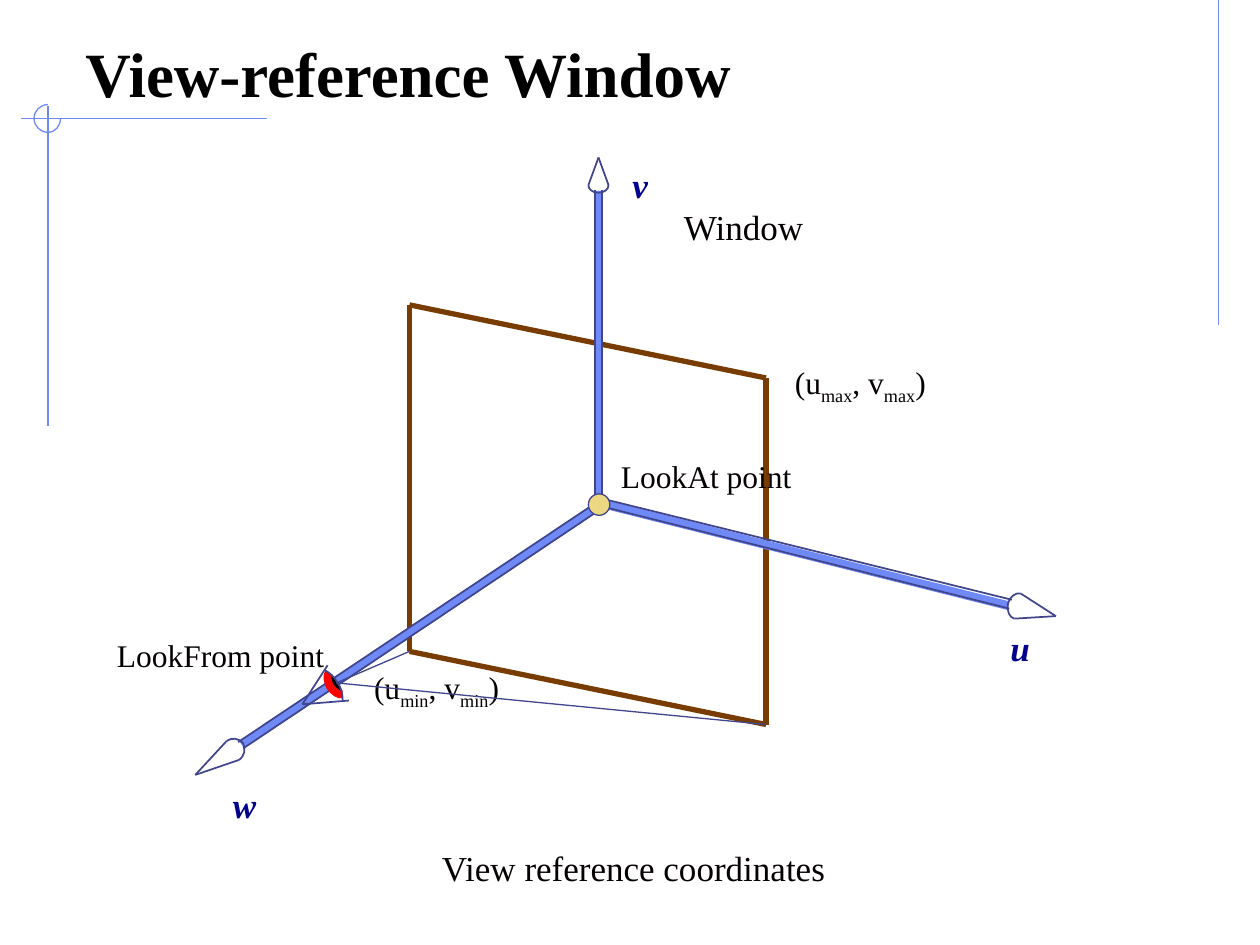
from lxml import etree
from pptx import Presentation
from pptx.dml.color import RGBColor
from pptx.enum.shapes import MSO_CONNECTOR as CONN, MSO_SHAPE as SHAPE
from pptx.enum.text import MSO_ANCHOR as ANCHOR, MSO_AUTO_SIZE as AUTO
from pptx.oxml.ns import qn
from pptx.util import Inches, Pt

PERIWINKLE, NAVY, BROWN = "6F89F7", "40458C", "783C00"
INK, BLACK, RED, SAND = "050000", "000000", "FF0000", "ECD882"
AXIS_NAME = {"size": Pt(20), "bold": True, "italic": True}


def rgb(value):
    return RGBColor.from_string(value)


def paint(s, fill=None, line=None, width=1):
    s.shadow.inherit = False
    if fill:
        s.fill.solid()
        s.fill.fore_color.rgb = rgb(fill)
    else:
        s.fill.background()
    if line:
        s.line.color.rgb = rgb(line)
        s.line.width = Pt(width)
    else:
        s.line.fill.background()


def add_line(shapes, start, end, color=NAVY, width=1):
    s = shapes.add_connector(CONN.STRAIGHT, *map(Inches, start + end))
    s.line.color.rgb = rgb(color)
    s.line.width = Pt(width)
    etree.SubElement(s._element.spPr, qn("a:effectLst"))


def add_preset(shapes, kind, box, rotation=0, **style):
    s = shapes.add_shape(kind, *map(Inches, box))
    s.rotation = rotation
    paint(s, **style)


def add_curve(shapes, points, close=False, **style):
    """Draw a chain of Bezier segments: a start, then three points for each."""
    emu = [(Inches(x), Inches(y)) for x, y in points]
    builder = shapes.build_freeform(*emu[0])
    builder.add_line_segments(emu[1:], close=close)
    s = builder.convert_to_shape()
    # Turn every three line segments into one Bezier segment
    lines = list(s._element.iter(qn("a:lnTo")))
    for i in range(0, len(lines), 3):
        bezier = etree.Element(qn("a:cubicBezTo"))
        lines[i].addprevious(bezier)
        for segment in lines[i:i + 3]:
            bezier.append(segment[0])
            segment.getparent().remove(segment)
    paint(s, **style)


def add_text(shapes, box, runs, anchor=ANCHOR.TOP, wrap=False, color=INK, **font):
    """Every second run is a subscript."""
    tf = shapes.add_textbox(*map(Inches, box)).text_frame
    tf.word_wrap = wrap
    tf.auto_size = AUTO.NONE if wrap else AUTO.SHAPE_TO_FIT_TEXT
    tf.vertical_anchor = anchor
    p = tf.paragraphs[0]
    for i, text in enumerate(runs):
        r = p.add_run()
        r.text = text
        for name, value in {"name": "Times New Roman", **font}.items():
            setattr(r.font, name, value)
        r.font.color.rgb = rgb(color)
        if i % 2:
            r._r.get_or_add_rPr().set("baseline", "-25000")


def add_axis(shapes, bar, rotation, arc, tip, rails):
    """A shaft with two edges and a cone-shaped head."""
    g = shapes.add_group_shape().shapes
    add_preset(g, SHAPE.RECTANGLE, bar, rotation, fill=PERIWINKLE)
    add_curve(g, arc, line=NAVY)
    for corner in (arc[0], arc[-1]):
        add_line(g, corner, tip)
    for start, end in rails:
        add_line(g, start, end)


def add_decoration(shapes):
    add_line(shapes, (9.67, 0), (9.67, 2.58), PERIWINKLE, 0.75)
    g = shapes.add_group_shape().shapes
    add_line(g, (2.12, 0.94), (0.17, 0.94), PERIWINKLE, 0.75)
    add_line(g, (0.38, 0.84), (0.38, 3.38), PERIWINKLE, 0.75)
    add_curve(g, [(0.38, 0.83), (0.32, 0.83), (0.27, 0.88), (0.27, 0.94),
                  (0.27, 1), (0.32, 1.05), (0.38, 1.05),
                  (0.44, 1.05), (0.48, 1), (0.48, 0.94)],
              line=PERIWINKLE, width=0.75)


def add_window(shapes):
    g = shapes.add_group_shape().shapes
    top_left, top_right = (3.25, 2.42), (6.08, 3)
    low_left, low_right = (3.25, 5.17), (6.08, 5.75)
    for start, end in ((top_left, low_left), (top_right, low_right),
                       (top_left, top_right), (low_left, low_right)):
        add_line(g, start, end, BROWN, 3)
    for x, y, w, sub in ((2.87, 5.25, 1.25, "min"), (6.21, 2.83, 1.3, "max")):
        add_text(g, (x, y, w, 0.44), ["(u", sub, ", v", sub, ")"], size=Pt(18))


def add_axes(shapes):
    # w axis
    add_axis(shapes, (1.63, 4.93, 3.4, 0.07), 146.2,
             [(1.9, 6.03), (1.94, 6), (1.95, 5.95), (1.93, 5.9),
              (1.9, 5.86), (1.84, 5.85), (1.8, 5.88)], (1.55, 6.15),
             [((4.77, 4.04), (1.93, 5.94)), ((4.73, 3.99), (1.89, 5.89))])
    # u axis
    add_axis(shapes, (4.67, 4.36, 3.38, 0.07), 14.1,
             [(8.1, 4.71), (8.06, 4.7), (8.01, 4.74), (8, 4.79),
              (7.99, 4.85), (8.01, 4.9), (8.05, 4.91)], (8.38, 4.89),
             [((4.75, 3.95), (8.03, 4.76)), ((4.74, 4.01), (8.01, 4.83))])
    # v axis
    add_axis(shapes, (3.52, 2.72, 2.47, 0.06), 270,
             [(4.67, 1.47), (4.67, 1.5), (4.7, 1.53), (4.75, 1.53),
              (4.8, 1.53), (4.83, 1.5), (4.83, 1.47)], (4.75, 1.25),
             [((x, 4), (x, 1.51)) for x in (4.72, 4.78)])


def add_eye(shapes):
    g = shapes.add_group_shape().shapes
    # Pupil and iris
    add_curve(g, [(2.62, 5.36), (2.63, 5.36), (2.66, 5.39), (2.67, 5.41),
                  (2.68, 5.43), (2.71, 5.47), (2.71, 5.48),
                  (2.71, 5.49), (2.68, 5.48), (2.67, 5.47),
                  (2.66, 5.46), (2.65, 5.45), (2.64, 5.44),
                  (2.63, 5.42), (2.62, 5.39), (2.62, 5.38),
                  (2.62, 5.36), (2.62, 5.36), (2.62, 5.36)], close=True, fill=BLACK)
    add_curve(g, [(2.72, 5.51), (2.69, 5.52), (2.65, 5.49), (2.62, 5.45),
                  (2.6, 5.41), (2.59, 5.36), (2.61, 5.34)],
              fill=BLACK, line=RED, width=4.5)
    # Eyelids and eyeball
    for end in ((2.6, 5.28), (2.77, 5.56)):
        add_line(g, (2.4, 5.59), end)
    add_curve(g, [(2.58, 5.32), (2.62, 5.34), (2.66, 5.38), (2.68, 5.42),
                  (2.71, 5.46), (2.72, 5.51), (2.72, 5.56)], line=NAVY)


def main():
    prs = Presentation()
    prs.slide_width, prs.slide_height = Inches(10), Inches(7.5)
    shapes = prs.slides.add_slide(prs.slide_layouts[6]).shapes

    add_decoration(shapes)
    add_window(shapes)
    add_text(shapes, (0.58, 0.25, 8.83, 0.67), ["View-reference Window"],
             ANCHOR.BOTTOM, True, BLACK, size=Pt(36), bold=True)
    add_axes(shapes)
    add_preset(shapes, SHAPE.OVAL, (4.72, 3.98, 0.06, 0.06), fill=PERIWINKLE)

    # Axis names and captions
    for name, x, y, w in (("u", 7.92, 4.92, 0.35), ("v", 4.92, 1.25, 0.32),
                          ("w", 1.75, 6.17, 0.38)):
        add_text(shapes, (x, y, w, 0.44), [name], color="00008C", **AXIS_NAME)
    add_preset(shapes, SHAPE.OVAL, (4.67, 3.92, 0.17, 0.17),
               fill=SAND, line=NAVY, width=0.75)
    for text, x, y, w, h, size in (
            ("View reference coordinates", 3.41, 6.67, 3.26, 0.44, 20),
            ("LookAt point", 4.83, 3.58, 1.58, 0.4, 18),
            ("LookFrom point", 0.83, 5, 1.87, 0.4, 18),
            ("Window", 5.33, 1.58, 1.16, 0.44, 20)):
        add_text(shapes, (x, y, w, h), [text], size=Pt(size))

    # Eye and its lines of sight
    add_eye(shapes)
    for corner in ((6.08, 5.75), (3.25, 5.17)):
        add_line(shapes, (2.67, 5.42), corner, NAVY, 0.75)

    prs.save("out.pptx")


if __name__ == "__main__":
    main()
